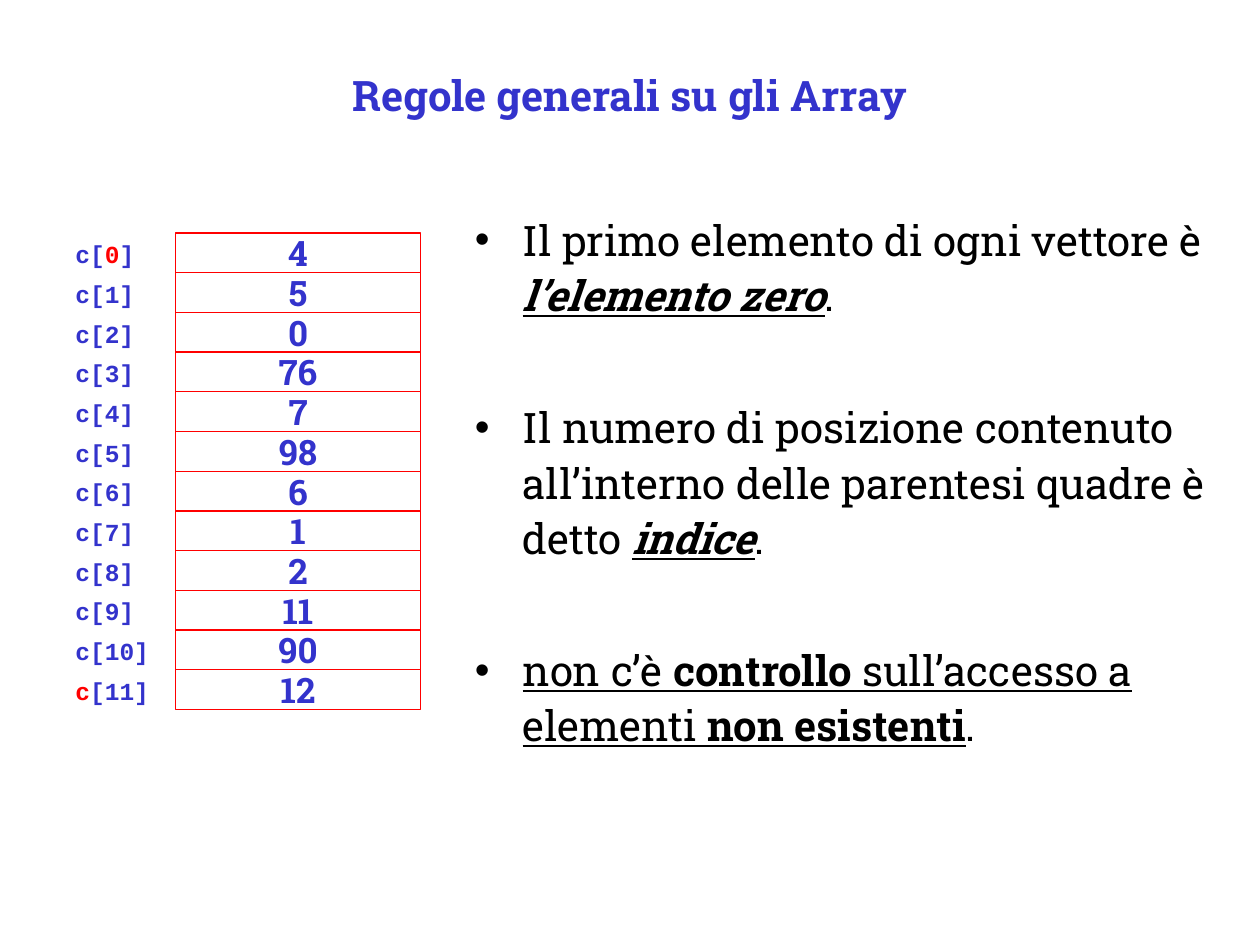
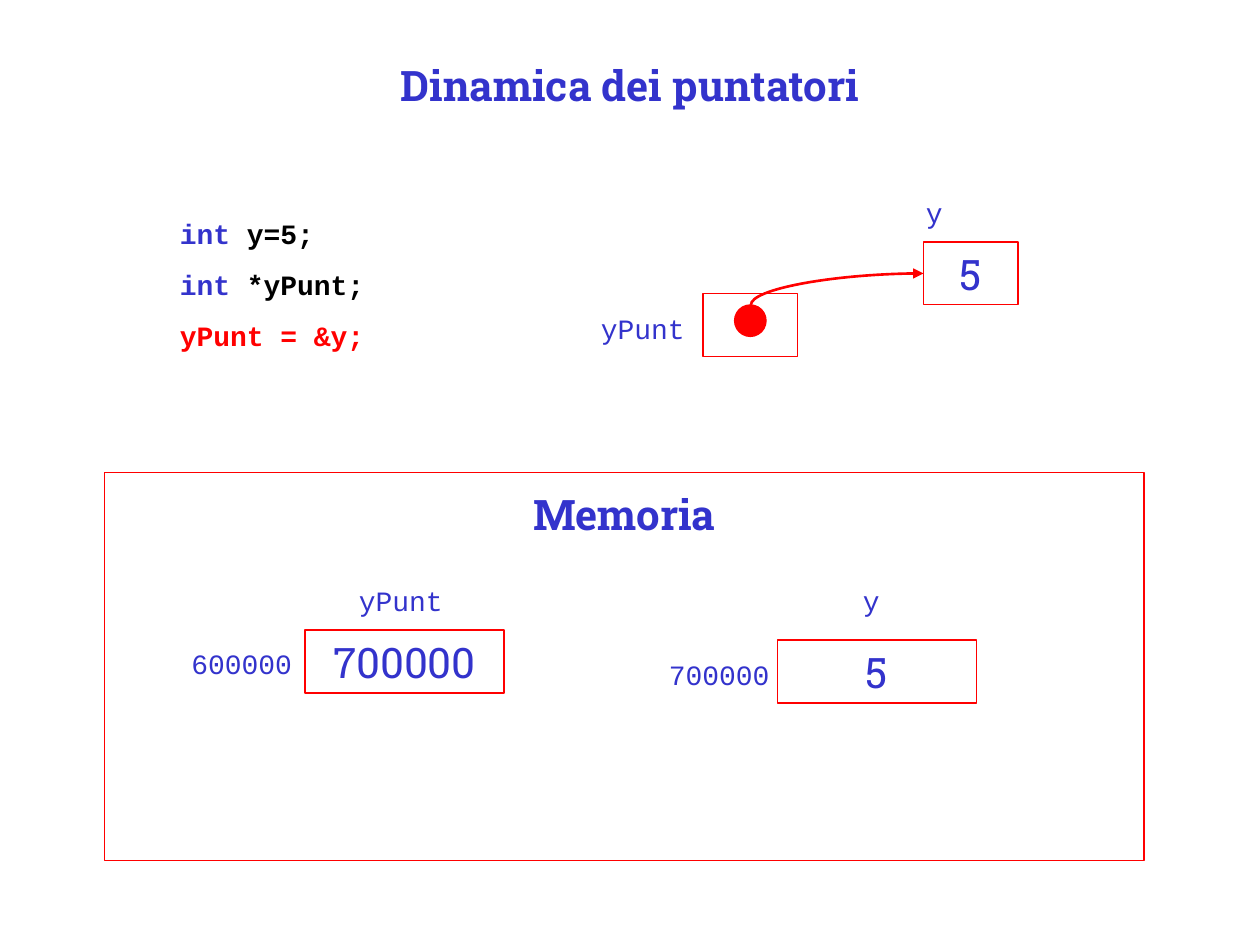
from dataclasses import dataclass

from lxml import etree
from pptx import Presentation
from pptx.dml.color import RGBColor
from pptx.enum.shapes import MSO_CONNECTOR as Connector, MSO_SHAPE as Shape
from pptx.enum.text import MSO_ANCHOR as Anchor, MSO_AUTO_SIZE as AutoSize, PP_ALIGN as Align
from pptx.oxml.ns import qn
from pptx.util import Inches, Pt

COLORS = {"blue": "3333CC", "red": "FF0000", "black": "000000"}
SLAB = "Roboto Slab"
MONO = "Courier New"


@dataclass(frozen=True)
class Run:
    text: str
    color: str = "blue"
    bold: bool = False
    italic: bool = False
    underline: bool = False


@dataclass(frozen=True)
class Box:
    left: float
    top: float
    width: float
    height: float

    def inches(self) -> list:
        return [Inches(v) for v in (self.left, self.top, self.width, self.height)]


def rgb(name: str) -> RGBColor:
    return RGBColor.from_string(COLORS[name])


# Text: each paragraph is a list of runs
def write(shape, paragraphs: list, *, font=SLAB, size=24, align=Align.LEFT,
          anchor=Anchor.TOP, before=0, wrap=True, grow=False, inset_top=0.05) -> None:
    frame = shape.text_frame
    frame.word_wrap = wrap
    frame.auto_size = AutoSize.SHAPE_TO_FIT_TEXT if grow else AutoSize.NONE
    frame.vertical_anchor = anchor
    frame.margin_top = Inches(inset_top)
    for index, runs in enumerate(paragraphs):
        paragraph = frame.add_paragraph() if index else frame.paragraphs[0]
        paragraph.alignment = align
        paragraph.space_before = Pt(before)
        for part in runs:
            run = paragraph.add_run()
            run.text = part.text
            run.font.name = font
            run.font.size = Pt(size)
            run.font.bold = part.bold
            run.font.italic = part.italic
            run.font.underline = part.underline
            run.font.color.rgb = rgb(part.color)


def add_text(slide, box: Box, paragraphs: list, **style):
    shape = slide.shapes.add_textbox(*box.inches())
    write(shape, paragraphs, **style)
    return shape


def add_title(slide, text: str, height: float) -> None:
    add_text(slide, Box(0.75, 0.42, 8.5, height), [[Run(text, bold=True)]],
             align=Align.CENTER, anchor=Anchor.MIDDLE)


def add_label(slide, box: Box, runs: list, size=16, before=10) -> None:
    add_text(slide, box, [runs], font=MONO, size=size, before=before, grow=True)


def add_outline(slide, box: Box, kind=Shape.RECTANGLE, filled=False):
    shape = slide.shapes.add_shape(kind, *box.inches())
    shape.shadow.inherit = False
    if filled:
        shape.fill.solid()
        shape.fill.fore_color.rgb = rgb("red")
    else:
        shape.fill.background()
    shape.line.color.rgb = rgb("red")
    shape.line.width = Pt(0.75)
    return shape


def add_bullet(paragraph) -> None:
    properties = paragraph._p.get_or_add_pPr()
    properties.set("marL", str(Inches(0.38)))
    properties.set("indent", str(-Inches(0.38)))
    color = etree.SubElement(properties, qn("a:buClr"))
    etree.SubElement(color, qn("a:srgbClr"), val=COLORS["black"])
    etree.SubElement(properties, qn("a:buFont"), typeface="Arial")
    etree.SubElement(properties, qn("a:buChar"), char="•")


def add_curved_arrow(slide, start: tuple, end: tuple) -> None:
    """Quarter curve that leaves start upwards and enters end from the left."""
    (x1, y1), (x2, y2) = start, end
    length, thickness = x2 - x1, y1 - y2
    connector = slide.shapes.add_connector(
        Connector.CURVE, *[Inches(v) for v in (x1, y1, x2, y2)])
    connector.line.color.rgb = rgb("red")
    connector.line.width = Pt(1.5)
    # The frame is turned a quarter, so its width and height swap
    connector.left = Inches((x1 + x2 - thickness) / 2)
    connector.top = Inches((y1 + y2 - length) / 2)
    connector.width, connector.height = Inches(thickness), Inches(length)
    properties = connector._element.spPr
    frame = properties.find(qn("a:xfrm"))
    for name, value in {"rot": "5400000", "flipH": "1", "flipV": "1"}.items():
        frame.set(name, value)
    properties.find(qn("a:prstGeom")).set("prst", "curvedConnector2")
    etree.SubElement(properties.find(qn("a:ln")), qn("a:tailEnd"), type="triangle")
    etree.SubElement(properties, qn("a:effectLst"))


# Slide 1: array rules
def build_array_slide(slide) -> None:
    add_title(slide, "Regole generali su gli Array", 0.67)

    rules = [
        [Run("Il primo elemento di ogni vettore è ", "black"),
         Run("l’elemento zero", "black", bold=True, italic=True, underline=True),
         Run(".", "black")],
        [Run("Il numero di posizione contenuto all’interno delle parentesi quadre è detto ",
             "black"),
         Run("indice", "black", bold=True, italic=True, underline=True),
         Run(".", "black")],
        [Run("non c’è ", "black", underline=True),
         Run("controllo", "black", bold=True, underline=True),
         Run(" sull’accesso a elementi ", "black", underline=True),
         Run("non esistenti", "black", bold=True, underline=True),
         Run(".", "black")],
    ]
    body = add_text(slide, Box(3.67, 1.58, 6.08, 4.67), rules, inset_top=0.08)
    for index, paragraph in enumerate(body.text_frame.paragraphs):
        paragraph.line_spacing = Pt(31.7)
        paragraph.space_before = Pt(43.7 if index else 0)
        add_bullet(paragraph)

    # Array cells with their index labels
    values = [4, 5, 0, 76, 7, 98, 6, 1, 2, 11, 90, 12]
    special_labels = {
        0: [Run("c[", bold=True), Run("0", "red", bold=True), Run("]", bold=True)],
        11: [Run("c", "red", bold=True), Run("[11]", bold=True)],
    }
    row_height = 3.78 / len(values)
    for index, value in enumerate(values):
        top = 1.85 + index * row_height
        cell = add_outline(slide, Box(1.39, top, 1.95, row_height))
        write(cell, [[Run(str(value), bold=True)]], size=20, align=Align.CENTER,
              anchor=Anchor.MIDDLE, wrap=False)
        label = special_labels.get(index, [Run(f"c[{index}]", bold=True)])
        add_label(slide, Box(0.5, top, 0.8 if index < 10 else 0.89, 0.34), label,
                  size=14, before=8.8)


# Slide 2: pointers
def build_pointer_slide(slide) -> None:
    add_title(slide, "Dinamica dei puntatori", 0.5)

    code = [
        [Run("int", bold=True), Run(" y=5;", "black", bold=True)],
        [Run("int", bold=True), Run(" *yPunt;", "black", bold=True)],
        [Run("yPunt = &y;", "red", bold=True)],
    ]
    add_text(slide, Box(1.33, 1.67, 2.04, 1.18), code, font=MONO, size=16,
             before=10, grow=True)

    # Pointer and the variable it points to
    add_outline(slide, Box(5.58, 2.33, 0.75, 0.5))
    add_outline(slide, Box(5.83, 2.42, 0.25, 0.25), Shape.OVAL, filled=True)
    variable = add_outline(slide, Box(7.33, 1.92, 0.75, 0.5))
    write(variable, [[Run("5")]], align=Align.CENTER, anchor=Anchor.MIDDLE, wrap=False)
    add_curved_arrow(slide, (5.96, 2.42), (7.33, 2.17))

    # Memory area
    memory = add_outline(slide, Box(0.83, 3.75, 8.25, 3.08))
    write(memory, [[Run("Memoria", bold=True)]], align=Align.CENTER, wrap=False,
          inset_top=0.13)
    for left, top, value in ((2.42, 5, "700000"), (6.17, 5.08, "5")):
        cell = add_outline(slide, Box(left, top, 1.58, 0.5))
        write(cell, [[Run(value)]], align=Align.CENTER, before=15, grow=True)

    # Names and addresses
    for text, left, top, width in (
        ("yPunt", 4.67, 2.42, 0.92),
        ("y", 7.25, 1.5, 0.42),
        ("yPunt", 2.75, 4.58, 1.25),
        ("y", 6.75, 4.58, 0.42),
        ("600000", 1.42, 5.08, 1.08),
        ("700000", 5.21, 5.17, 1.08),
    ):
        add_label(slide, Box(left, top, width, 0.37), [Run(text)])


def main() -> None:
    presentation = Presentation()
    presentation.slide_width, presentation.slide_height = Inches(10), Inches(7.5)
    blank = presentation.slide_layouts[6]
    for build in (build_array_slide, build_pointer_slide):
        build(presentation.slides.add_slide(blank))
    presentation.save("out.pptx")


if __name__ == "__main__":
    main()
